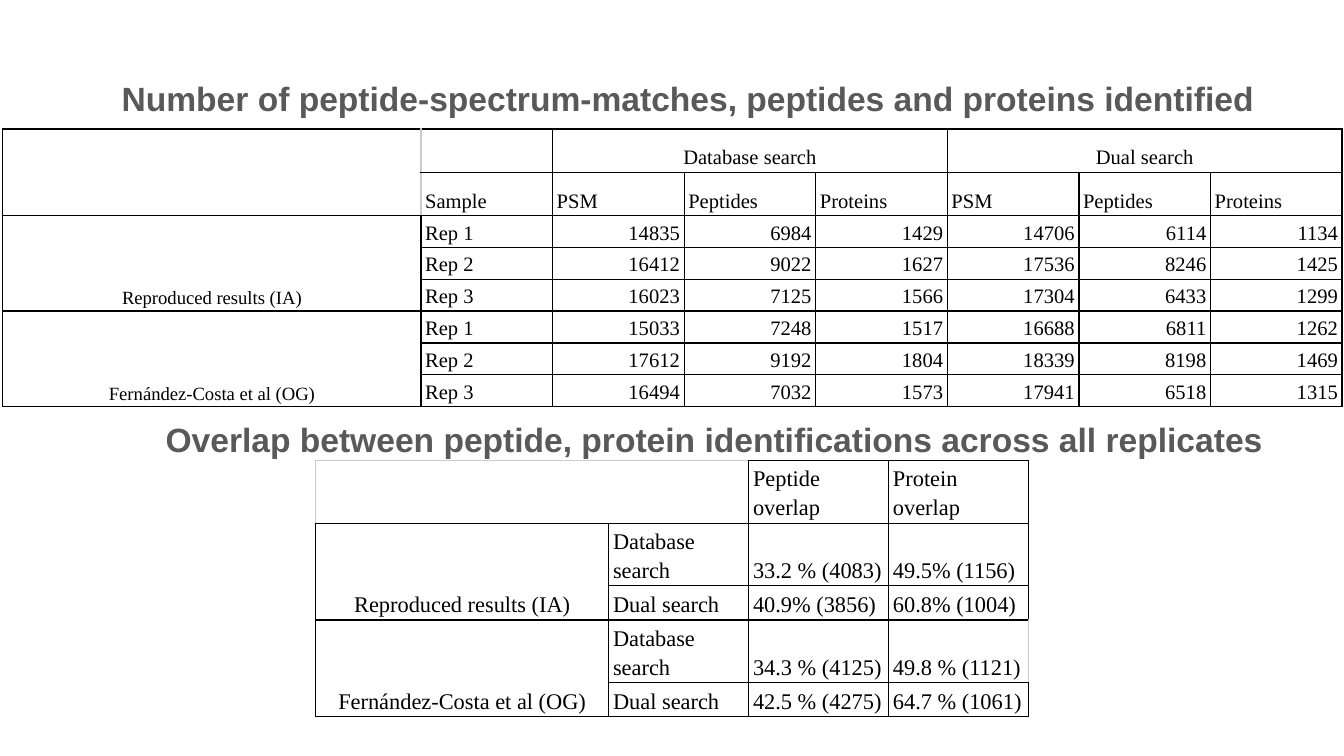
from dataclasses import dataclass

from lxml.etree import SubElement as Sub
from pptx import Presentation
from pptx.dml.color import RGBColor as RGB
from pptx.enum.text import MSO_ANCHOR as Anchor, PP_ALIGN as Align
from pptx.oxml.ns import qn
from pptx.util import Pt


@dataclass(frozen=True)
class Theme:
    head: str = "595959"
    ink: str = "000000"
    faint: str = "CCCCCC"
    white: str = "FFFFFF"
    sans: str = "Arial"
    serif: str = "Times New Roman"
    title: float = 18
    count: float = 11
    label: float = 10
    share: float = 12
    line: float = 0.75


THEME = Theme()
OURS = "Reproduced results (IA)"
THEIRS = "Fernández-Costa et al (OG)"
KINDS = ["PSM", "Peptides", "Proteins"]

COUNTS = [
    ["", "", "Database search", "", "", "Dual search", "", ""],
    ["", "Sample", *KINDS, *KINDS],
    [OURS, "Rep 1", "14835", "6984", "1429", "14706", "6114", "1134"],
    ["", "Rep 2", "16412", "9022", "1627", "17536", "8246", "1425"],
    ["", "Rep 3", "16023", "7125", "1566", "17304", "6433", "1299"],
    [THEIRS, "Rep 1", "15033", "7248", "1517", "16688", "6811", "1262"],
    ["", "Rep 2", "17612", "9192", "1804", "18339", "8198", "1469"],
    ["", "Rep 3", "16494", "7032", "1573", "17941", "6518", "1315"],
]
SHARES = [
    ["", "", "Peptide overlap", "Protein overlap"],
    [OURS, "Database search", "33.2 % (4083)", "49.5% (1156)"],
    ["", "Dual search", "40.9% (3856)", "60.8% (1004)"],
    [THEIRS, "Database search", "34.3 % (4125)", "49.8 % (1121)"],
    ["", "Dual search", "42.5 % (4275)", "64.7 % (1061)"],
]


def add_run(para, text, size, face, color, bold=False):
    run = para.add_run()
    run.text = text
    font = run.font
    font.size, font.name, font.bold = Pt(size), face, bold
    font.color.rgb = RGB.from_string(color)


def set_head(shape, text, left, top):
    """Place and fill a section heading."""
    shape.left, shape.top = Pt(left), Pt(top)
    shape.width, shape.height = Pt(651), Pt(36)
    frame = shape.text_frame
    frame.word_wrap = True
    frame.vertical_anchor = Anchor.TOP
    frame.margin_left = frame.margin_right = Pt(7.2)
    frame.margin_top = frame.margin_bottom = Pt(7.2)
    para = frame.paragraphs[0]
    para.alignment = Align.CENTER
    add_run(para, text, THEME.title, THEME.sans, THEME.head, True)


def set_edges(cell, faint):
    """Draw the four borders; sides named in faint are grey."""
    props = cell._tc.get_or_add_tcPr()
    for spot, side in enumerate("LRTB"):
        line = props.makeelement(qn(f"a:ln{side}"), {"w": str(Pt(THEME.line))})
        fill = Sub(line, qn("a:solidFill"))
        color = THEME.faint if side in faint else THEME.ink
        Sub(fill, qn("a:srgbClr"), val=color)
        props.insert(spot, line)


def set_cell(cell, text, size, faint):
    cell.vertical_anchor = Anchor.BOTTOM
    cell.margin_left = cell.margin_right = Pt(2.25)
    cell.margin_top = cell.margin_bottom = Pt(1.5)
    para = cell.text_frame.paragraphs[0]
    para.line_spacing = 1.15
    if cell.is_merge_origin:
        para.alignment = Align.CENTER
    elif text.isdigit():
        para.alignment = Align.RIGHT
    else:
        para.alignment = Align.LEFT
    add_run(para, text, size, THEME.serif, THEME.ink)
    if text.isdigit():
        cell.fill.solid()
        cell.fill.fore_color.rgb = RGB.from_string(THEME.white)
    else:
        cell.fill.background()
    set_edges(cell, faint)


def add_grid(slide, data, left, top, cols, rows, spans, faint, size, label):
    """Add a table; spans hold first and last cells, faint maps cells to grey sides."""
    frame = slide.shapes.add_table(
        len(rows), len(cols), Pt(left), Pt(top), Pt(sum(cols)), Pt(sum(rows)))
    table = frame.table
    table.first_row = table.horz_banding = False
    for col, width in zip(table.columns, cols):
        col.width = Pt(width)
    for row, height in zip(table.rows, rows):
        row.height = Pt(height)
    for first, last in spans:
        table.cell(*first).merge(table.cell(*last))
    for r, line in enumerate(data):
        for c, text in enumerate(line):
            set_cell(table.cell(r, c), text, size if c else label,
                     faint.get((r, c), ""))


def main():
    deck = Presentation()
    deck.slide_width, deck.slide_height = Pt(720), Pt(405)
    slide = deck.slides.add_slide(deck.slide_layouts[5])

    add_grid(slide, COUNTS, 1.5, 69.1, [224] + [70.5] * 7,
             [23.1] * 2 + [17.1] * 6,
             [((0, 0), (1, 0)), ((0, 2), (0, 4)), ((0, 5), (0, 7)),
              ((2, 0), (4, 0)), ((5, 0), (7, 0))],
             {(0, 0): "R", (1, 0): "R", (0, 1): "L", (1, 1): "L"},
             THEME.count, THEME.label)
    add_grid(slide, SHARES, 169.2, 246.7, [157] + [75] * 3,
             [33.5, 33.5, 18.2, 33.5, 18.2],
             [((0, 0), (0, 1)), ((1, 0), (2, 0)), ((3, 0), (4, 0))],
             {(0, 0): "LT", (0, 1): "T", (3, 3): "R"},
             THEME.share, THEME.share)

    set_head(slide.shapes.title,
             "Number of peptide-spectrum-matches, peptides and proteins identified",
             43.2, 34.6)
    set_head(slide.shapes.add_textbox(0, 0, 0, 0),
             "Overlap between peptide, protein identifications across all replicates ",
             59.8, 217.4)
    deck.save("out.pptx")


if __name__ == "__main__":
    main()
